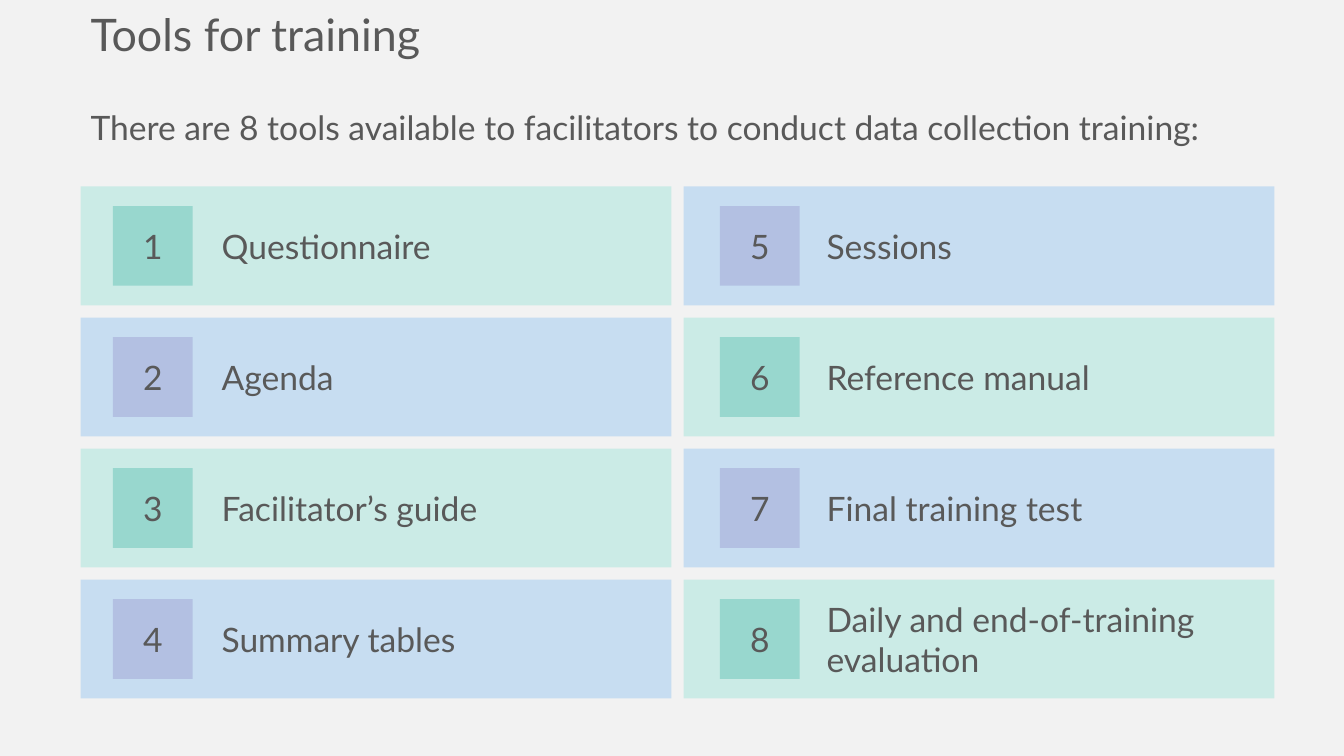
import pptx
import pptx.util
import pptx.dml.color
import pptx.enum.shapes
import pptx.enum.text

Inches = pptx.util.Inches
Anchor = pptx.enum.text.MSO_ANCHOR
Align = pptx.enum.text.PP_ALIGN

TITLE = "Tools for training"
INTRO = "There are 8 tools available to facilitators to conduct data collection training:"
TOOLS = [
    "Questionnaire",
    "Agenda",
    "Facilitator’s guide",
    "Summary tables",
    "Sessions",
    "Reference manual",
    "Final training test",
    "Daily and end-of-training evaluation",
]
GREEN = ("CBEBE6", "98D7CE")
BLUE = ("C7DDF1", "B3C0E2")
INK = "595959"
PAPER = "F2F2F2"

ROWS = 4
TOP, PITCH = 1.85, 1.3
WIDTH, HEIGHT = 5.86, 1.18
BADGE = 0.79
COLUMNS = [(0.8, 1.12, 2.1), (6.78, 7.14, 8.1)]


def paint(fill, color):
    fill.solid()
    fill.fore_color.rgb = pptx.dml.color.RGBColor.from_string(color)


def write(shape, text, size=24, anchor=Anchor.MIDDLE, align=Align.LEFT):
    frame = shape.text_frame
    frame.word_wrap = True
    frame.vertical_anchor = anchor
    line = frame.paragraphs[0]
    line.alignment = align
    run = line.add_run()
    run.text = text
    run.font.name = "Lato"
    run.font.size = pptx.util.Pt(size)
    paint(run.font.fill, INK)
    return line


def add_box(slide, *place):
    return slide.shapes.add_textbox(*map(Inches, place))


def add_rect(slide, color, *place):
    kind = pptx.enum.shapes.MSO_SHAPE.RECTANGLE
    rect = slide.shapes.add_shape(kind, *map(Inches, place))
    rect.shadow.inherit = False
    rect.line.fill.background()
    paint(rect.fill, color)
    return rect


def add_tool(slide, index, name):
    column, row = divmod(index, ROWS)
    left, mark, label = COLUMNS[column]
    card, tint = BLUE if (column + row) % 2 else GREEN
    top = TOP + row * PITCH
    add_rect(slide, card, left, top, WIDTH, HEIGHT)
    inset = (HEIGHT - BADGE) / 2
    badge = add_rect(slide, tint, mark, top + inset, BADGE, BADGE)
    write(badge, str(index + 1), align=Align.CENTER)
    write(add_box(slide, label, top, 3.98, HEIGHT), name)


def main():
    deck = pptx.Presentation()
    deck.slide_width, deck.slide_height = Inches(13.33), Inches(7.5)
    slide = deck.slides.add_slide(deck.slide_layouts[6])
    paint(slide.background.fill, PAPER)
    write(add_box(slide, 0.8, 0.02, 12.14, 0.64), TITLE, 32, Anchor.TOP)
    intro = write(add_box(slide, 0.8, 1.06, 12.14, 0.47), INTRO, anchor=Anchor.TOP)
    intro.line_spacing = 0.9
    for index, name in enumerate(TOOLS):
        add_tool(slide, index, name)
    deck.save("out.pptx")


if __name__ == "__main__":
    main()
